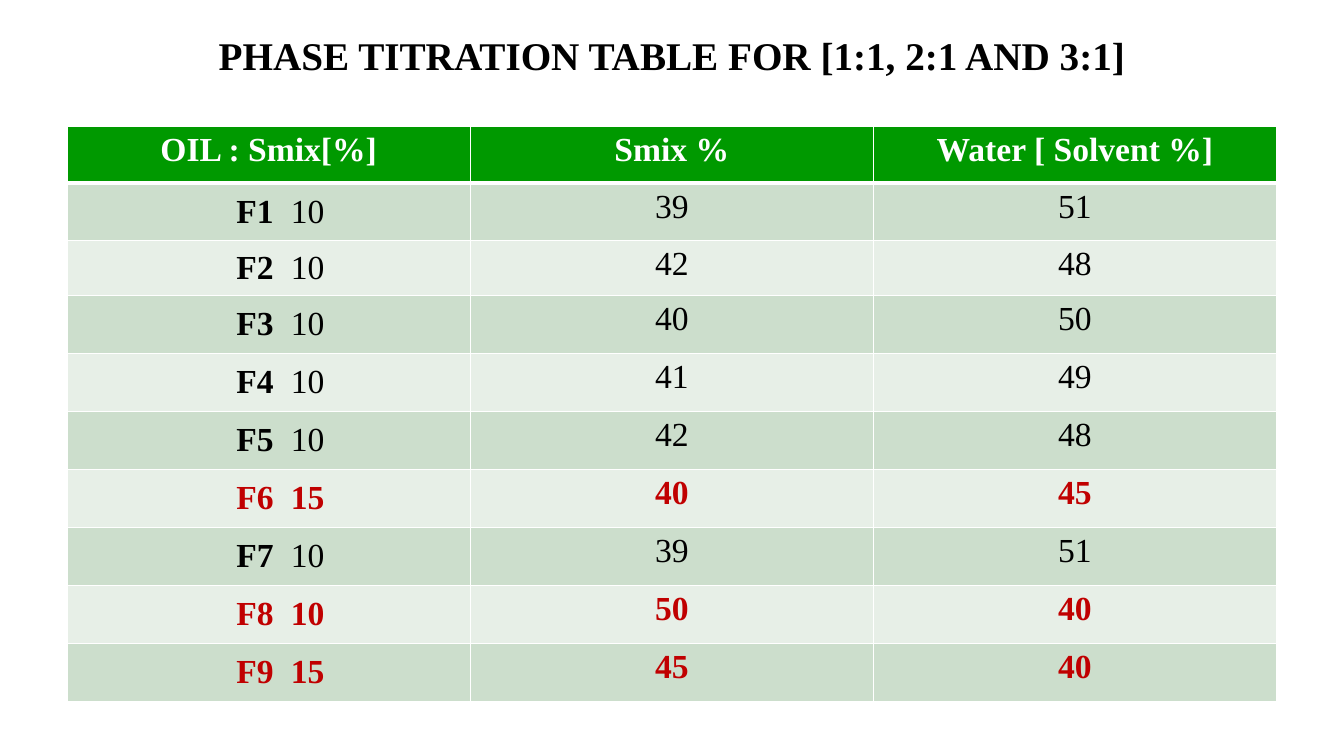
from lxml.etree import SubElement
from pptx import Presentation
from pptx.dml.color import RGBColor
from pptx.enum.text import MSO_ANCHOR, PP_ALIGN
from pptx.oxml import parse_xml
from pptx.oxml.ns import nsdecls, qn
from pptx.util import Cm, Pt

# Content
TITLE = "PHASE TITRATION TABLE FOR [1:1, 2:1 AND 3:1]"
HEADINGS = ["OIL : Smix[%]", "Smix %", "Water [ Solvent %]"]
FORMULATIONS = [
    ("F1", 10, 39, 51),
    ("F2", 10, 42, 48),
    ("F3", 10, 40, 50),
    ("F4", 10, 41, 49),
    ("F5", 10, 42, 48),
    ("F6", 15, 40, 45),
    ("F7", 10, 39, 51),
    ("F8", 10, 50, 40),
    ("F9", 15, 45, 40),
]
HIGHLIGHTED = {"F6", "F8", "F9"}

# Style
FONT = "Times New Roman"
COLORS = {
    "text": "000000",
    "header": "009900",
    "header_text": "FFFFFF",
    "border": "FFFFFF",
    "odd": "CCDECC",
    "even": "E7EFE7",
    "highlight": "C00000",
}
LEFT, WIDTH = Cm(1.69), Cm(30.48)
ROW_HEIGHTS = [Cm(1.44), Cm(1.44), Cm(1.39)] + [Cm(1.46)] * 7
OIL_INDENT, OIL_TAB = Cm(4.27), Cm(1.37)


def style_span(span, size, color, bold):
    span.font.name = FONT
    span.font.size = Pt(size)
    span.font.bold = bold
    span.font.color.rgb = RGBColor.from_string(COLORS[color])


def add_span(para, text, color, bold):
    span = para.add_run()
    span.text = text
    style_span(span, 24, color, bold)


def paint_cell(cell, fill, top_width, bottom_width):
    cell.fill.solid()
    cell.fill.fore_color.rgb = RGBColor.from_string(COLORS[fill])
    sides = [("lnL", 1), ("lnR", 1), ("lnT", top_width), ("lnB", bottom_width)]
    for position, (side, width) in enumerate(sides):
        border = parse_xml(
            f'<a:{side} {nsdecls("a")} w="{Pt(width)}"><a:solidFill>'
            f'<a:srgbClr val="{COLORS["border"]}"/></a:solidFill></a:{side}>'
        )
        cell._tc.get_or_add_tcPr().insert(position, border)


def fill_centred(cell, text, color, bold):
    para = cell.text_frame.paragraphs[0]
    para.alignment = PP_ALIGN.CENTER
    add_span(para, text, color, bold)


def fill_oil(cell, name, oil, color, bold):
    cell.margin_left = OIL_INDENT
    cell.vertical_anchor = MSO_ANCHOR.MIDDLE
    para = cell.text_frame.paragraphs[0]
    tabs = SubElement(para._p.get_or_add_pPr(), qn("a:tabLst"))
    SubElement(tabs, qn("a:tab"), pos=str(int(OIL_TAB)), algn="l")
    add_span(para, f"{name}\t", color, True)
    add_span(para, str(oil), color, bold)


deck = Presentation()
deck.slide_width, deck.slide_height = Cm(33.87), Cm(19.05)
page = deck.slides.add_slide(deck.slide_layouts[5])

# Title
title = page.shapes.title
title.left, title.top, title.width, title.height = LEFT, Cm(0.56), WIDTH, Cm(1.63)
title.text_frame.text = TITLE
title.text_frame.vertical_anchor = MSO_ANCHOR.MIDDLE
title.text_frame.paragraphs[0].alignment = PP_ALIGN.CENTER
style_span(title.text_frame.paragraphs[0].runs[0], 28, "text", True)

# Table
table = page.shapes.add_table(
    len(ROW_HEIGHTS), len(HEADINGS), LEFT, Cm(3.18), WIDTH, sum(ROW_HEIGHTS)
).table
for row, height in zip(table.rows, ROW_HEIGHTS):
    row.height = height

# Header row
for column, heading in enumerate(HEADINGS):
    cell = table.cell(0, column)
    paint_cell(cell, "header", 1, 3)
    fill_centred(cell, heading, "header_text", True)

# Formulation rows
for number, (name, oil, *shares) in enumerate(FORMULATIONS, start=1):
    bold = name in HIGHLIGHTED
    color = "highlight" if bold else "text"
    for cell in table.rows[number].cells:
        paint_cell(cell, "odd" if number % 2 else "even", 3 if number == 1 else 1, 1)
    fill_oil(table.cell(number, 0), name, oil, color, bold)
    for column, share in enumerate(shares, start=1):
        fill_centred(table.cell(number, column), str(share), color, bold)

deck.save("out.pptx")
